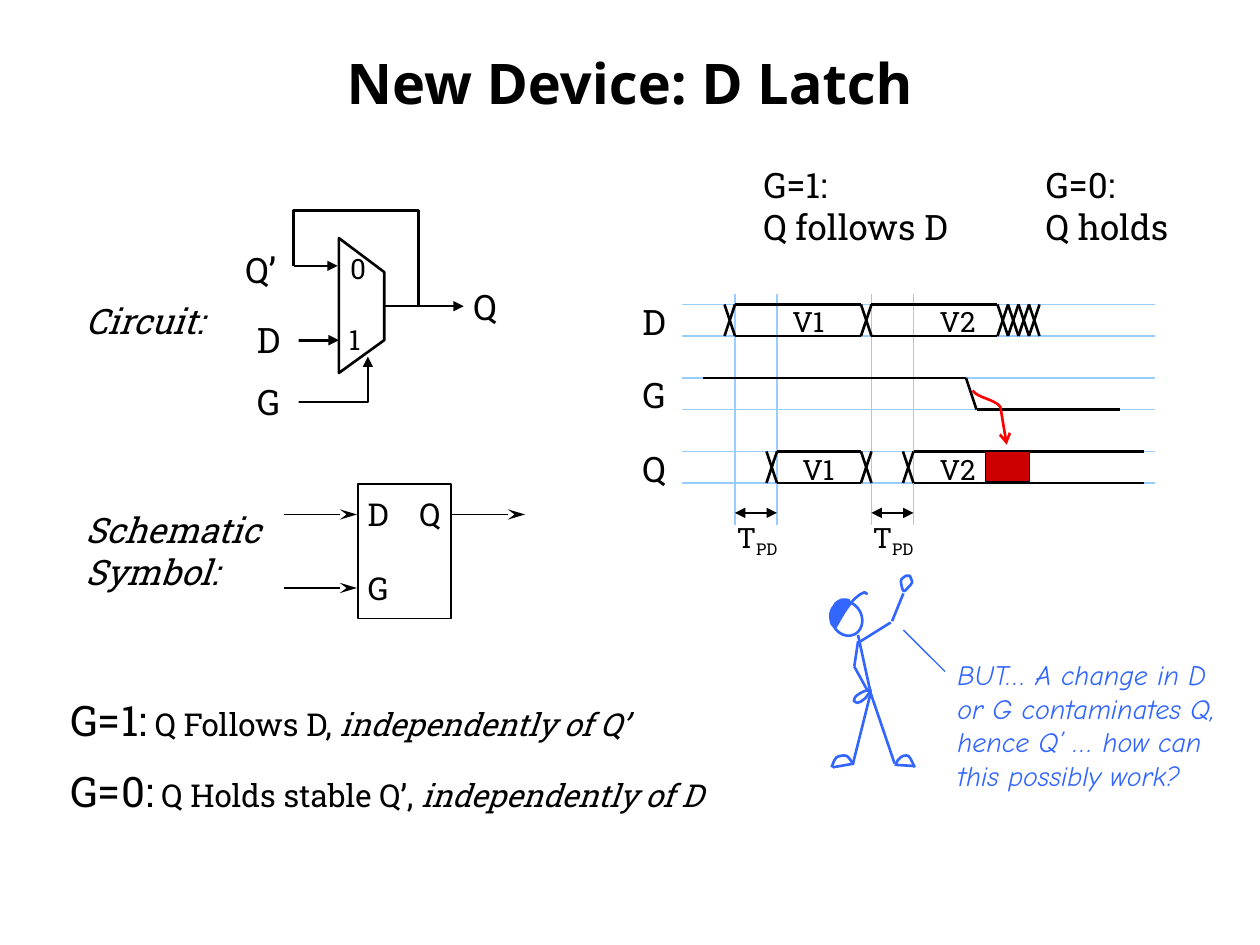
from dataclasses import dataclass
from typing import Optional

from lxml.etree import SubElement
from pptx import Presentation
from pptx.dml.color import RGBColor
from pptx.enum.shapes import MSO_CONNECTOR as Link, MSO_SHAPE as Form
from pptx.enum.text import MSO_ANCHOR as Anchor, MSO_AUTO_SIZE as Fit, PP_ALIGN as Align
from pptx.oxml.ns import qn
from pptx.util import Inches, Pt

BLACK = RGBColor(0, 0, 0)
WHITE = RGBColor(255, 255, 255)
PALE = RGBColor(0x99, 0xCC, 0xFF)
BLUE = RGBColor(0x33, 0x66, 0xFF)
RED = RGBColor(255, 0, 0)
BRICK = RGBColor(0xCC, 0, 0)
SLAB = "Roboto Slab"
UNIT = 1 / 12  # one grid step in inches


@dataclass
class Span:
    """One run of text."""
    text: str
    size: float = 20
    italic: bool = False
    bold: bool = False
    font: str = SLAB
    color: RGBColor = BLACK
    sub: bool = False


@dataclass
class Label:
    """A text box; each row is a list of spans."""
    x: float
    y: float
    w: float
    h: float
    rows: list
    wrap: bool = False
    lead: Optional[float] = None
    gap: float = 0
    soft: bool = False
    fill: Optional[RGBColor] = None


@dataclass
class Pen:
    """How a stroke is drawn."""
    color: RGBColor = BLACK
    width: float = 1.5
    head: str = ""
    tail: str = ""
    size: str = "med"


INK, FINE, GRID = Pen(), Pen(width=0.75), Pen(PALE, 0.75)
DART = Pen(tail="triangle")
SKETCH = Pen(BLUE)

deck = Presentation()
deck.slide_width, deck.slide_height = Inches(10), Inches(7.5)
slide = deck.slides.add_slide(deck.slide_layouts[6])
shapes = slide.shapes


def style(item, pen: Pen) -> None:
    """Set line colour, width and arrowheads."""
    item.line.color.rgb = pen.color
    item.line.width = Pt(pen.width)
    ln = item._element.spPr.get_or_add_ln()
    for tag, kind in (("a:headEnd", pen.head), ("a:tailEnd", pen.tail)):
        if kind:
            SubElement(ln, qn(tag), type=kind, len=pen.size)


def line(x1: float, y1: float, x2: float, y2: float, pen: Pen = INK, step: float = 1) -> None:
    """Draw a straight line; step is the length of one unit."""
    item = shapes.add_connector(Link.STRAIGHT, *(Inches(v * step) for v in (x1, y1, x2, y2)))
    style(item, pen)
    SubElement(item._element.spPr, qn("a:effectLst"))


def paint(item, pen: Optional[Pen], fill: Optional[RGBColor]) -> None:
    """Give a shape its fill and outline."""
    item.shadow.inherit = False
    if fill is None:
        item.fill.background()
    else:
        item.fill.solid()
        item.fill.fore_color.rgb = fill
    if pen:
        style(item, pen)
    else:
        item.line.fill.background()


def block(form, x, y, w, h, pen: Optional[Pen], fill: Optional[RGBColor] = None, turn: float = 0):
    """Draw a preset shape."""
    item = shapes.add_shape(form, Inches(x), Inches(y), Inches(w), Inches(h))
    item.rotation = turn
    paint(item, pen, fill)
    return item


def trace(points: list, pen: Pen = INK, fill: Optional[RGBColor] = None,
          close: bool = False, curves: int = 0) -> None:
    """Draw an outline; the first triples of points may be cubic curves."""
    dots = [(Inches(x), Inches(y)) for x, y in points]
    maker = shapes.build_freeform(*dots[0])
    maker.add_line_segments(dots[1:], close=close)
    item = maker.convert_to_shape()
    legs = list(item._element.iter(qn("a:lnTo")))
    for k in range(0, curves * 3, 3):
        cubic = legs[k].makeelement(qn("a:cubicBezTo"))
        legs[k].addprevious(cubic)
        for leg in legs[k:k + 3]:
            cubic.append(leg[0])
            leg.getparent().remove(leg)
    paint(item, pen, fill)


def bend(nums: tuple, pen: Pen = SKETCH, fill: Optional[RGBColor] = None, close: bool = False) -> None:
    """Draw cubic curves from a flat row of x and y values."""
    points = list(zip(nums[::2], nums[1::2]))
    trace(points, pen, fill, close, (len(points) - 1) // 3)


def write(label: Label):
    """Add a text box and return its frame."""
    place = (label.x, label.y, label.w, label.h)
    if label.fill is None:
        frame = shapes.add_textbox(*(Inches(v) for v in place)).text_frame
    else:
        frame = block(Form.RECTANGLE, *place, None, label.fill).text_frame
        frame.vertical_anchor = Anchor.TOP
    frame.word_wrap = label.wrap
    frame.auto_size = Fit.SHAPE_TO_FIT_TEXT
    para = frame.paragraphs[0]
    for k, row in enumerate(label.rows):
        if k and label.soft:
            para.add_line_break()
        elif k:
            para = frame.add_paragraph()
            para.space_before = Pt(label.gap)
        para.alignment = Align.LEFT
        if label.lead:
            para.line_spacing = label.lead
        for span in row:
            run = para.add_run()
            run.text = span.text
            font = run.font
            font.name, font.size, font.color.rgb = span.font, Pt(span.size), span.color
            font.italic, font.bold = span.italic, span.bold
            if span.sub:
                font._element.set("baseline", "-25000")
    return frame


def cross(col: float, row: float) -> None:
    """Draw the X where a signal changes."""
    line(col, row, col + 1, row + 3, INK, UNIT)
    line(col + 1, row, col, row + 3, INK, UNIT)


# Title and side labels
title = write(Label(0.5, 0.3, 9, 0.7, [[Span("New Device: D Latch", 32, bold=True, font="Open Sans")]], True))
title.auto_size = Fit.NONE
title.vertical_anchor = Anchor.MIDDLE
title.paragraphs[0].alignment = Align.CENTER
write(Label(0.58, 2.33, 1.24, 0.44, [[Span("Circuit:", italic=True)]]))
write(Label(0.58, 3.99, 1.65, 0.77, [[Span(t, italic=True)] for t in ("Schematic", "Symbol:")], soft=True))

# Schematic symbol
block(Form.RECTANGLE, 2.84, 3.84, 0.74, 1.07, Pen(width=1), WHITE)
for text, x, y in (("D", 2.82, 3.91), ("G", 2.82, 4.5), ("Q", 3.23, 3.91)):
    write(Label(x, y, 0.4, 0.38, [[Span(text, 18)]], lead=0.9))
for left, row in ((27, 49), (27, 56), (43, 49)):
    line(left, row, left + 7, row, Pen(width=1, tail="stealth", size="lg"), UNIT)

# Timing chart
D_ROW, G_ROW, Q_ROW = 29, 36, 43
for text, row in (("D", D_ROW), ("G", G_ROW), ("Q", Q_ROW)):
    write(Label(5, (row - 1) * UNIT, 0.43, 0.44, [[Span(text)]]))
    for edge in (row, row + 3):
        line(65, edge, 110, edge, GRID, UNIT)
for col in (70, 74, 83, 87):
    line(col, 28, col, 50, GRID, UNIT)
for row, left, right in ((D_ROW, 70, 82), (D_ROW, 83, 95), (Q_ROW, 74, 82), (Q_ROW, 87, 109)):
    cross(left - 1, row)
    for edge in (row, row + 3):
        line(left, edge, right, edge, INK, UNIT)
cross(82, Q_ROW)
for col in range(95, 99):
    cross(col, D_ROW)
for piece in ((67, 36, 92, 36), (92, 36, 93, 39), (93, 39, 106.7, 39)):
    line(*piece, INK, UNIT)
for text, x, y in (("V1", 6.19, 2.37), ("V2", 7.36, 2.37), ("V1", 6.27, 3.54), ("V2", 7.36, 3.54)):
    write(Label(x, y, 0.51, 0.37, [[Span(text, 16)]]))
for col, x in ((70, 5.75), (83, 6.83)):
    line(col, 48.85, col + 4, 48.85, Pen(width=0.75, head="triangle", tail="triangle"), UNIT)
    write(Label(x, 4.08, 0.57, 0.37, [[Span("T", 16), Span("PD", 16, sub=True)]]))
for x, w, rows in ((5.96, 1.77, ("G=1:", "Q follows D")), (8.2, 1.31, ("G=0:", "Q holds"))):
    write(Label(x, 1.25, w, 0.77, [[Span(t)] for t in rows]))
bend((7.72, 3.1, 7.76, 3.16, 7.9, 3.17, 7.94, 3.23, 7.99, 3.53), Pen(RED, tail="arrow"))
block(Form.RECTANGLE, 7.82, 3.58, 0.35, 0.24, FINE, BRICK)

# Circuit
trace([(2.69, 2.96), (3.05, 2.7), (3.05, 2.16), (2.69, 1.89)], close=True)
line(3.05, 2.43, 3.68, 2.43, DART)
line(2.2, 2.7, 2.69, 2.7, DART)
line(2.68, 2.11, 2.33, 2.11, Pen(head="triangle"))
trace([(2.15, 3.19), (2.92, 3.19), (2.92, 2.83)], DART)
trace([(3.32, 2.43), (3.32, 1.67), (2.33, 1.67), (2.33, 2.11)])
for text, x, y, w, fill in (("Q’", 1.85, 1.92, 0.57, None), ("D", 1.94, 2.48, 0.43, WHITE),
                            ("G", 1.94, 2.97, 0.43, WHITE), ("Q", 3.66, 2.22, 0.43, None)):
    write(Label(x, y, w, 0.44, [[Span(text)]], fill=fill))
for text, x, y in (("0", 2.68, 1.95), ("1", 2.67, 2.51)):
    write(Label(x, y, 0.35, 0.37, [[Span(text, 16)]]))

# Rules
rules = (("G=1:", " Q Follows D, ", "independently of Q’"),
         ("G=0:", " Q Holds stable Q’, ", "independently of D"))
write(Label(0.46, 5.46, 5.79, 1.11,
            [[Span(a, 24), Span(b, 18), Span(c, 18, italic=True)] for a, b, c in rules], True, gap=12))

# Figure and its question
ask = "BUT… A change in D or G contaminates Q, hence Q’ … how can this possibly work?"
write(Label(7.5, 5.17, 2.34, 1.45, [[Span(ask, 16, italic=True, font="Comic Neue", color=BLUE)]], True))
line(7.17, 5, 7.5, 5.33, Pen(BLUE, 0.75))
hip = (6.91, 5.5)
for limb in ((6.81, 5.04, *hip), (*hip, 7.1, 6.06), (*hip, 6.77, 6.06), (7.1, 6.07, 7.26, 6.08),
             (6.78, 6.06, 6.61, 6.09), (6.83, 5.09, 7.07, 4.94), (7.08, 4.93, 7.17, 4.71),
             (6.81, 5.09, 6.78, 5.29), (6.78, 5.29, 6.89, 5.49)):
    line(*limb, SKETCH)
feet = ((7.26, 6.09, 7.24, 6.05, 7.23, 6.02, 7.21, 6, 7.19, 5.99, 7.15, 6, 7.14, 6.02,
         7.12, 6.03, 7.11, 6.07, 7.11, 6.07),
        (6.6, 6.09, 6.62, 6.04, 6.62, 6.03, 6.64, 6.01, 6.66, 6, 6.7, 5.99, 6.72, 6,
         6.74, 6.01, 6.76, 6.05, 6.77, 6.06))
hands = ((7.17, 4.69, 7.16, 4.68, 7.15, 4.63, 7.15, 4.61, 7.15, 4.59, 7.18, 4.58, 7.19, 4.57,
          7.2, 4.57, 7.21, 4.57, 7.22, 4.57, 7.22, 4.58, 7.24, 4.6, 7.24, 4.62,
          7.24, 4.63, 7.22, 4.65, 7.21, 4.66, 7.2, 4.67, 7.18, 4.7, 7.17, 4.69),
         (6.91, 5.48, 6.9, 5.47, 6.87, 5.48, 6.85, 5.49, 6.83, 5.5, 6.81, 5.51, 6.8, 5.52,
          6.79, 5.53, 6.78, 5.54, 6.78, 5.55, 6.77, 5.56, 6.78, 5.57, 6.79, 5.57,
          6.79, 5.58, 6.82, 5.58, 6.83, 5.57, 6.84, 5.56, 6.86, 5.55, 6.87, 5.54,
          6.88, 5.52, 6.91, 5.49, 6.91, 5.48))
brim = (6.63, 4.98, 6.66, 4.93, 6.69, 4.87, 6.72, 4.83, 6.75, 4.79, 6.78, 4.75, 6.81, 4.73,
        6.83, 4.71, 6.85, 4.71, 6.86, 4.7, 6.88, 4.7, 6.88, 4.72, 6.88, 4.72)
cap = (6.61, 4.96, 6.6, 4.97, 6.59, 4.91, 6.59, 4.89, 6.59, 4.86, 6.6, 4.83, 6.62, 4.81,
       6.63, 4.78, 6.66, 4.77, 6.68, 4.76, 6.69, 4.76, 6.71, 4.76, 6.72, 4.76,
       6.73, 4.77, 6.75, 4.76, 6.74, 4.77, 6.73, 4.79, 6.7, 4.84, 6.69, 4.87,
       6.67, 4.9, 6.63, 4.96, 6.61, 4.96)
for part in feet:
    bend(part)
for part in hands:
    bend(part, close=True)
block(Form.OVAL, 6.6, 4.77, 0.24, 0.28, SKETCH, turn=333.6)
bend(brim)
bend(cap, fill=BLUE, close=True)

deck.save("out.pptx")
